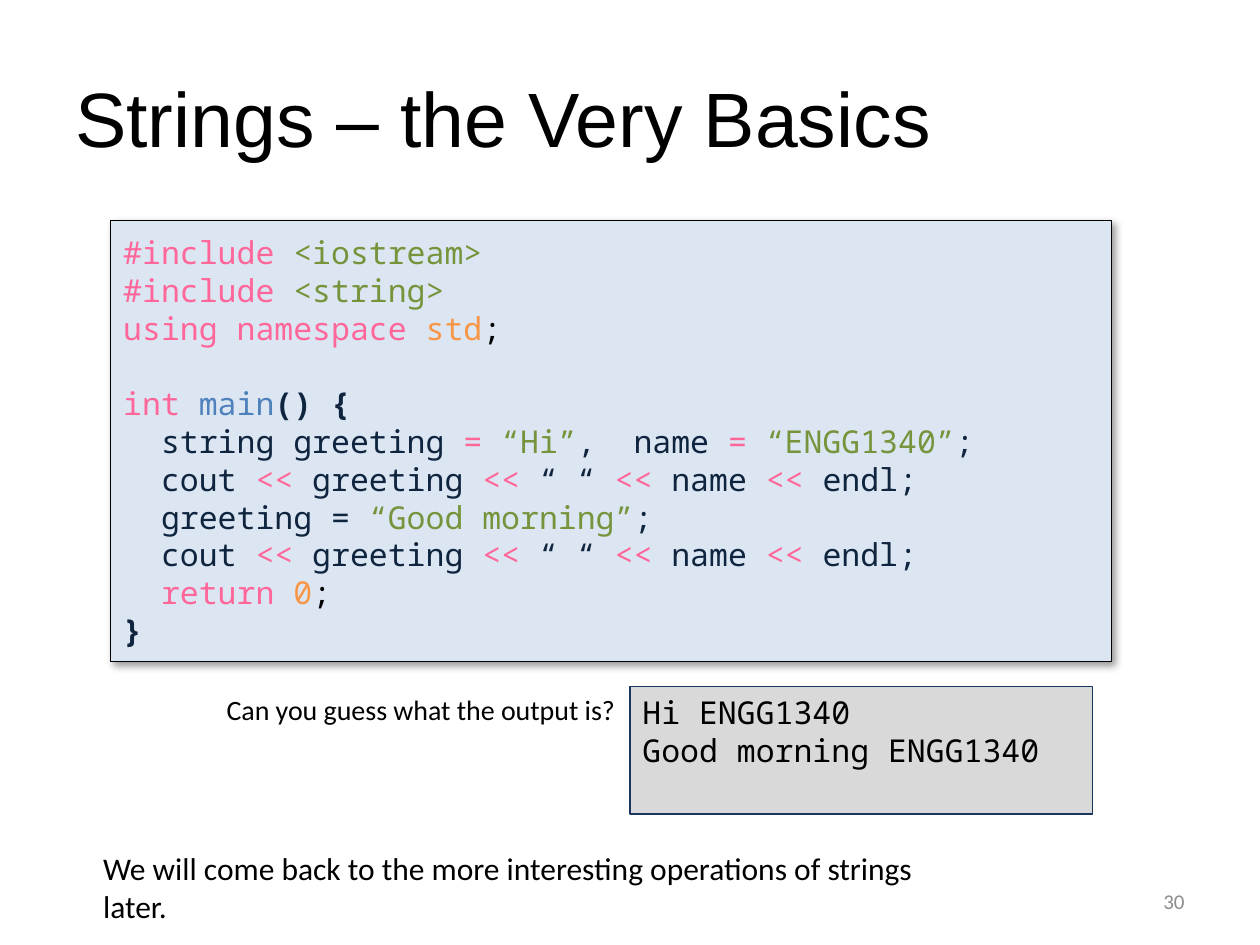
from lxml.etree import SubElement
from pptx import Presentation
from pptx.dml.color import RGBColor
from pptx.enum.shapes import MSO_SHAPE
from pptx.enum.text import MSO_ANCHOR, PP_ALIGN
from pptx.oxml.ns import qn
from pptx.util import Pt

COLORS = {
    "black": "000000",
    "keyword": "FF6699",
    "literal": "77933C",
    "value": "F79646",
    "function": "4F81BD",
    "code": "0F243E",
    "code_fill": "DCE6F2",
    "output_fill": "D9D9D9",
    "output_line": "17375E",
    "page_number": "8C8C8C",
}
CODE_FONT = "Noto Sans Mono"
CODE_SIZE = 18
CODE_INDENT = 21.6
CODE_LINE = 21.6

PRINT_LINE = [
    ("cout ", "code"), ("<<", "keyword"), (" greeting ", "code"), ("<<", "keyword"),
    (" “ “ ", "code"), ("<<", "keyword"), (" name ", "code"), ("<< ", "keyword"),
    ("endl;", "code"),
]
HEADER = [
    [("#include ", "keyword"), ("<iostream>", "literal")],
    [("#include ", "keyword"), ("<string>", "literal")],
    [("using namespace ", "keyword"), ("std", "value"), (";", "black")],
]
MAIN_START = [("int ", "keyword"), ("main", "function"), ("() {", "code", True)]
MAIN_BODY = [
    [("string greeting ", "code"), ("= ", "keyword"), ("“Hi”", "literal"),
     (",  name ", "code"), ("= ", "keyword"), ("“ENGG1340”", "literal"), (";", "code")],
    PRINT_LINE,
    [("greeting = ", "code"), ("“Good morning”", "literal"), (";", "code")],
    PRINT_LINE,
    [("return ", "keyword"), ("0", "value"), (";", "black")],
]
MAIN_END = [("}", "code", True)]


def color(name):
    return RGBColor.from_string(COLORS[name])


def add_run(paragraph, text, font, size, color_name, bold=False):
    run = paragraph.add_run()
    run.text = text
    run.font.name = font
    run.font.size = Pt(size)
    run.font.bold = bold
    run.font.color.rgb = color(color_name)


def next_paragraph(frame):
    """Return the first paragraph while it is empty, otherwise a new one."""
    first = frame.paragraphs[0]
    return frame.add_paragraph() if first.runs else first


def add_label(slide, box, text, size, font="Calibri", color_name="black",
              align=PP_ALIGN.LEFT, anchor=MSO_ANCHOR.TOP, wrap=True):
    frame = slide.shapes.add_textbox(*map(Pt, box)).text_frame
    frame.word_wrap = wrap
    frame.vertical_anchor = anchor
    paragraph = frame.paragraphs[0]
    paragraph.alignment = align
    add_run(paragraph, text, font, size, color_name)


def add_panel(slide, box, fill, line, anchor):
    shape = slide.shapes.add_shape(MSO_SHAPE.RECTANGLE, *map(Pt, box))
    shape.shadow.inherit = False
    shape.fill.solid()
    shape.fill.fore_color.rgb = color(fill)
    shape.line.color.rgb = color(line)
    shape.line.width = Pt(0.75)
    shape.text_frame.word_wrap = True
    shape.text_frame.vertical_anchor = anchor
    return shape


def add_shadow(shape):
    """Cast a soft shadow to the lower right."""
    effects = shape._element.spPr.find(qn("a:effectLst"))
    shadow = SubElement(effects, qn("a:outerShdw"), blurRad=str(Pt(4)), dist=str(Pt(3)),
                        dir=str(45 * 60000), algn="tl", rotWithShape="0")
    shade = SubElement(shadow, qn("a:srgbClr"), val=COLORS["black"])
    SubElement(shade, qn("a:alpha"), val="40000")


def add_code_line(frame, runs, indent=0, space_before=0):
    paragraph = next_paragraph(frame)
    paragraph.alignment = PP_ALIGN.LEFT
    paragraph.space_before = Pt(space_before)
    properties = paragraph._p.get_or_add_pPr()
    properties.set("marL", str(Pt(indent)))
    properties.set("indent", "0")
    for text, color_name, *bold in runs:
        add_run(paragraph, text, CODE_FONT, CODE_SIZE, color_name, bool(bold))


def add_program(slide):
    panel = add_panel(slide, (63.36, 126, 571.68, 252), "code_fill", "black",
                      MSO_ANCHOR.MIDDLE)
    add_shadow(panel)
    frame = panel.text_frame
    for runs in HEADER:
        add_code_line(frame, runs)
    add_code_line(frame, MAIN_START, space_before=CODE_LINE)
    for runs in MAIN_BODY:
        add_code_line(frame, runs, indent=CODE_INDENT)
    add_code_line(frame, MAIN_END)


def add_output(slide):
    panel = add_panel(slide, (360, 392.4, 264.24, 72.72), "output_fill", "output_line",
                      MSO_ANCHOR.TOP)
    for text in ("Hi ENGG1340", "Good morning ENGG1340"):
        add_code_line(panel.text_frame, [(text, "black")])


def main():
    presentation = Presentation()
    presentation.slide_width = Pt(720)
    presentation.slide_height = Pt(540)
    slide = presentation.slides.add_slide(presentation.slide_layouts[6])

    add_label(slide, (36, 21.6, 648, 90), "Strings – the Very Basics", 44, font="Arial",
              anchor=MSO_ANCHOR.MIDDLE)
    add_label(slide, (516.24, 500.4, 167.76, 28.8), "30", 12, color_name="page_number",
              align=PP_ALIGN.RIGHT, anchor=MSO_ANCHOR.MIDDLE)
    add_program(slide)
    add_label(slide, (51.84, 481.68, 514.8, 28.8),
              "We will come back to the more interesting operations of strings later.", 18)
    add_output(slide)
    add_label(slide, (122.4, 392.4, 237.6, 26.64), "Can you guess what the output is?", 16,
              wrap=False)

    presentation.save("out.pptx")


if __name__ == "__main__":
    main()
